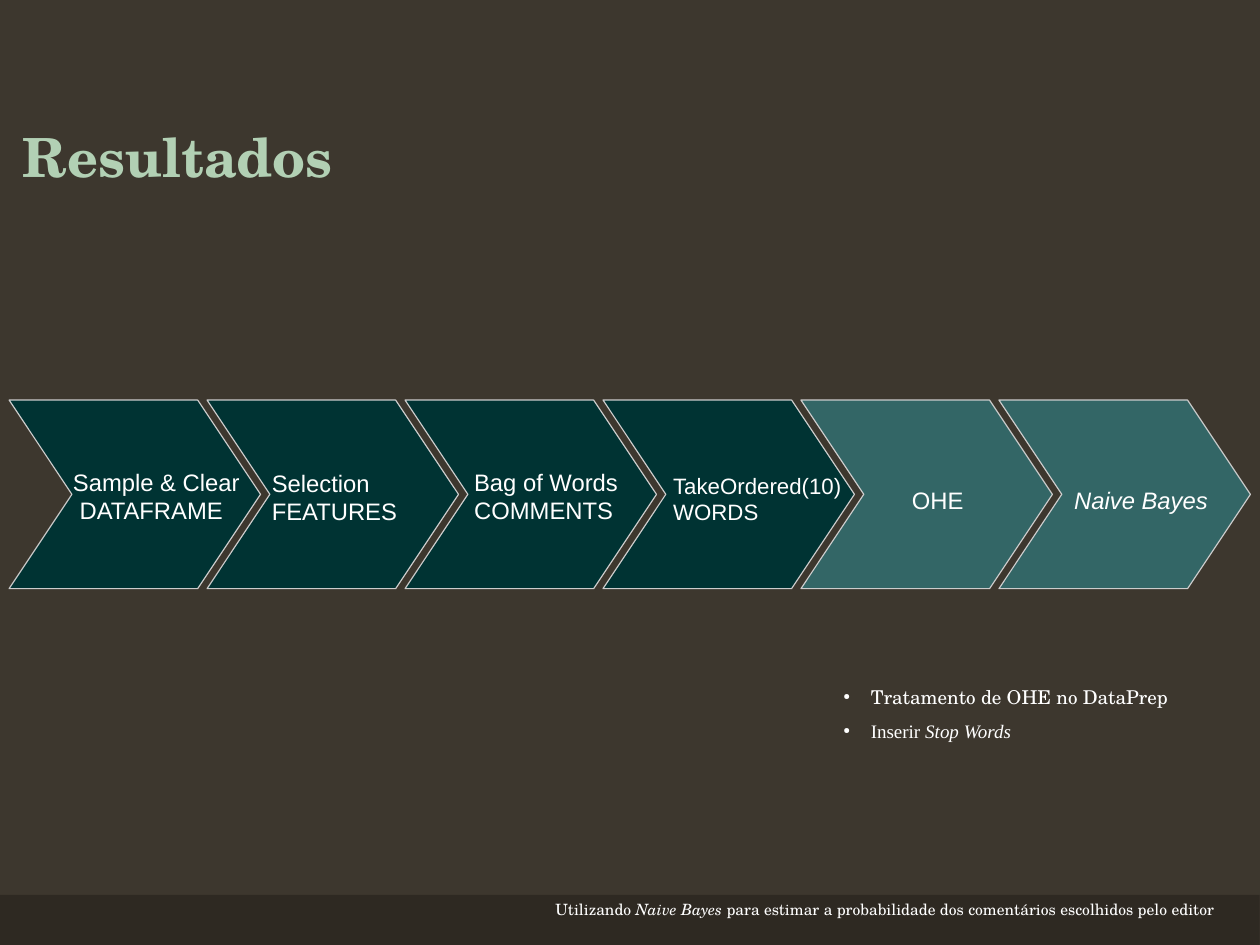
from pptx import Presentation
from pptx.dml.color import RGBColor
from pptx.enum import shapes, text
from pptx.oxml import parse_xml
from pptx.oxml.ns import nsdecls
from pptx.util import Inches, Pt

SERIF = "TeX Gyre Schola"
WHITE = "FFFFFF"
DARK, LIGHT = "003333", "336666"
CHEVRON_LEFT, CHEVRON_RIGHT = 0.08, 8.74

STEPS = [
    (DARK, (0.54, 4.04, 1.72, 0.56), 15, False, ["Sample & Clear", " DATAFRAME"]),
    (DARK, (2.28, 4.05, 1.35, 0.56), 15, False, ["Selection", "FEATURES"]),
    (DARK, (4.05, 4.04, 1.52, 0.56), 15, False, ["Bag of Words", "COMMENTS"]),
    (DARK, (5.79, 4.08, 1.73, 0.54), 14, False, ["TakeOrdered(10)", "WORDS"]),
    (LIGHT, (7.88, 4.2, 0.7, 0.33), 15, False, ["OHE"]),
    (LIGHT, (9.3, 4.2, 1.43, 0.33), 15, True, ["Naive Bayes"]),
]


def color(value):
    return RGBColor.from_string(value)


def set_all(target, values):
    for name, value in values.items():
        setattr(target, name, value)


def add_panel(page, kind, area, fill, line=None):
    shape = page.shapes.add_shape(kind, *map(Inches, area))
    shape.shadow.inherit = False
    shape.fill.solid()
    shape.fill.fore_color.rgb = color(fill)
    if line:
        shape.line.color.rgb = color(line)
        shape.line.width = Pt(0)
    else:
        shape.line.fill.background()
    return shape


def add_text(page, area, paragraphs, font, tint=WHITE, frame=None, layout=None):
    box = page.shapes.add_textbox(*map(Inches, area))
    set_all(box.text_frame, {"word_wrap": True, **(frame or {})})
    for index, spans in enumerate(paragraphs):
        para = box.text_frame.add_paragraph() if index else box.text_frame.paragraphs[0]
        set_all(para, layout or {})
        for words, changes in spans:
            span = para.add_run()
            span.text = words
            set_all(span.font, {**font, **changes})
            span.font.color.rgb = color(tint)
    return box


def add_bullets(box):
    for para in box.text_frame.paragraphs:
        properties = para._p.get_or_add_pPr()
        properties.set("marL", str(Inches(0.24)))
        properties.set("indent", str(-Inches(0.24)))
        for markup in (
            f'<a:buClr {nsdecls("a")}><a:srgbClr val="{WHITE}"/></a:buClr>',
            f'<a:buSzPct {nsdecls("a")} val="45000"/>',
            f'<a:buChar {nsdecls("a")} char="●"/>',
        ):
            properties.append(parse_xml(markup))


def add_step(page, index, fill, area, size, italic, lines):
    stride = (CHEVRON_RIGHT - CHEVRON_LEFT) / (len(STEPS) - 1)
    chevron_area = (CHEVRON_LEFT + index * stride, 3.5, 2.2, 1.65)
    chevron = add_panel(page, shapes.MSO_SHAPE.CHEVRON, chevron_area, fill, "CCCCCC")
    chevron.adjustments[0] = 1 / 3
    add_text(
        page, area, [[(line, {})] for line in lines],
        {"name": "Arial", "size": Pt(size), "italic": italic},
    )


def main():
    deck = Presentation()
    deck.slide_width = Inches(28 / 2.54)
    deck.slide_height = Inches(21 / 2.54)
    page = deck.slides.add_slide(deck.slide_layouts[6])
    page.background.fill.solid()
    page.background.fill.fore_color.rgb = color("3D372E")

    add_panel(page, shapes.MSO_SHAPE.RECTANGLE, (0, 7.83, 11.02, 0.44), "2E2922")
    for index, step in enumerate(STEPS):
        add_step(page, index, *step)

    add_text(
        page, (0.1, 0.32, 9.51, 1.38), [[("Resultados", {})]],
        {"name": SERIF, "size": Pt(34), "bold": True}, "B2D0B4",
        {"vertical_anchor": text.MSO_ANCHOR.BOTTOM}, {"line_spacing": 0.9},
    )
    add_text(
        page, (4.76, 7.87, 6.18, 0.28),
        [[
            ("Utilizando ", {}),
            ("Naive Bayes", {"italic": True}),
            (" para estimar a probabilidade dos comentários escolhidos pelo editor", {}),
        ]],
        {"name": SERIF, "size": Pt(9.8)}, layout={"line_spacing": 0.7},
    )
    remarks = add_text(
        page, (7.28, 5.95, 3.5, 1.29),
        [
            [("Tratamento de OHE no DataPrep", {})],
            [
                ("Inserir ", {"name": "Times New Roman"}),
                ("Stop Words", {"name": "Times New Roman", "italic": True}),
            ],
        ],
        {"name": SERIF, "size": Pt(12)},
        layout={"alignment": text.PP_ALIGN.JUSTIFY, "space_after": Pt(7)},
    )
    add_bullets(remarks)
    deck.save("out.pptx")


if __name__ == "__main__":
    main()
